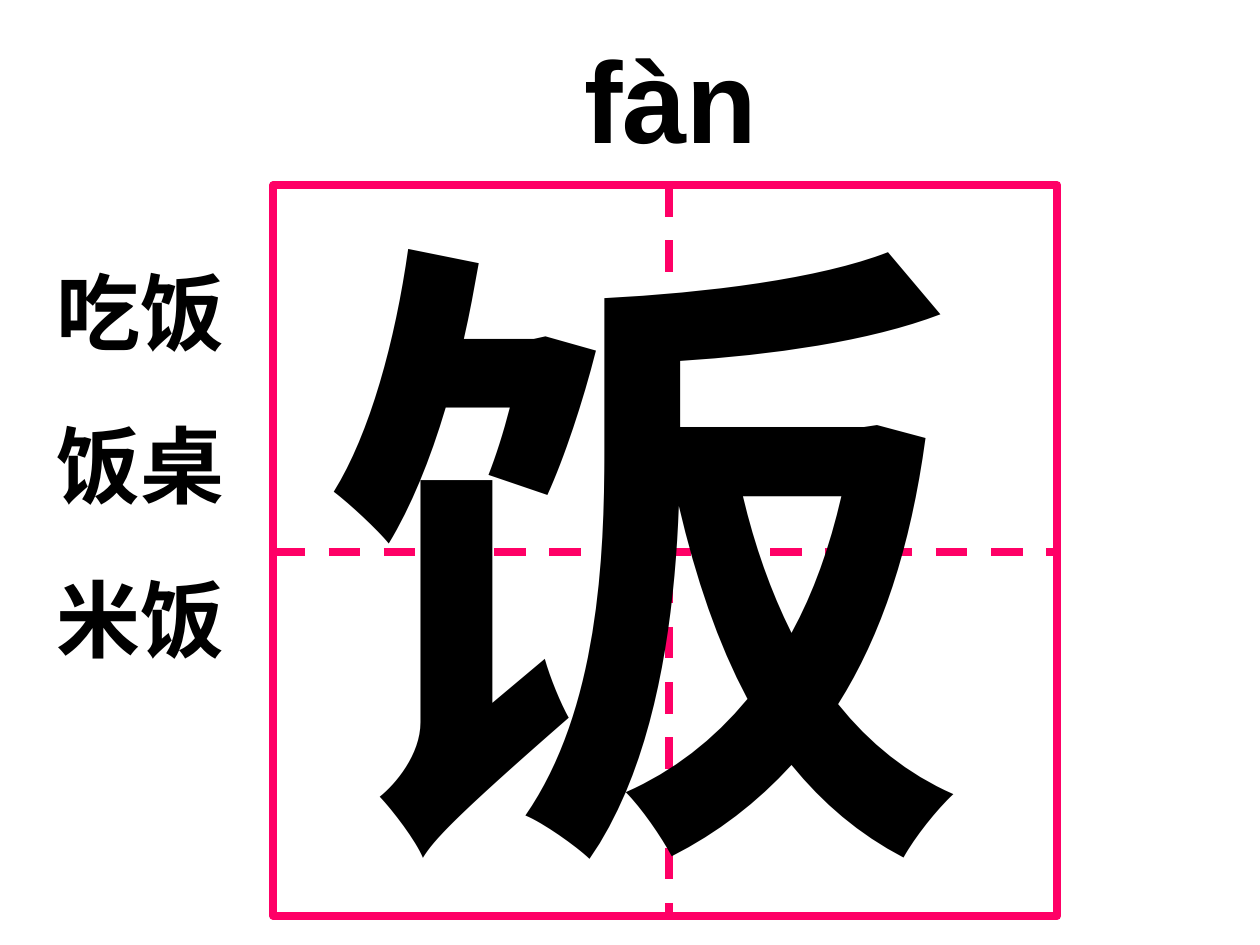
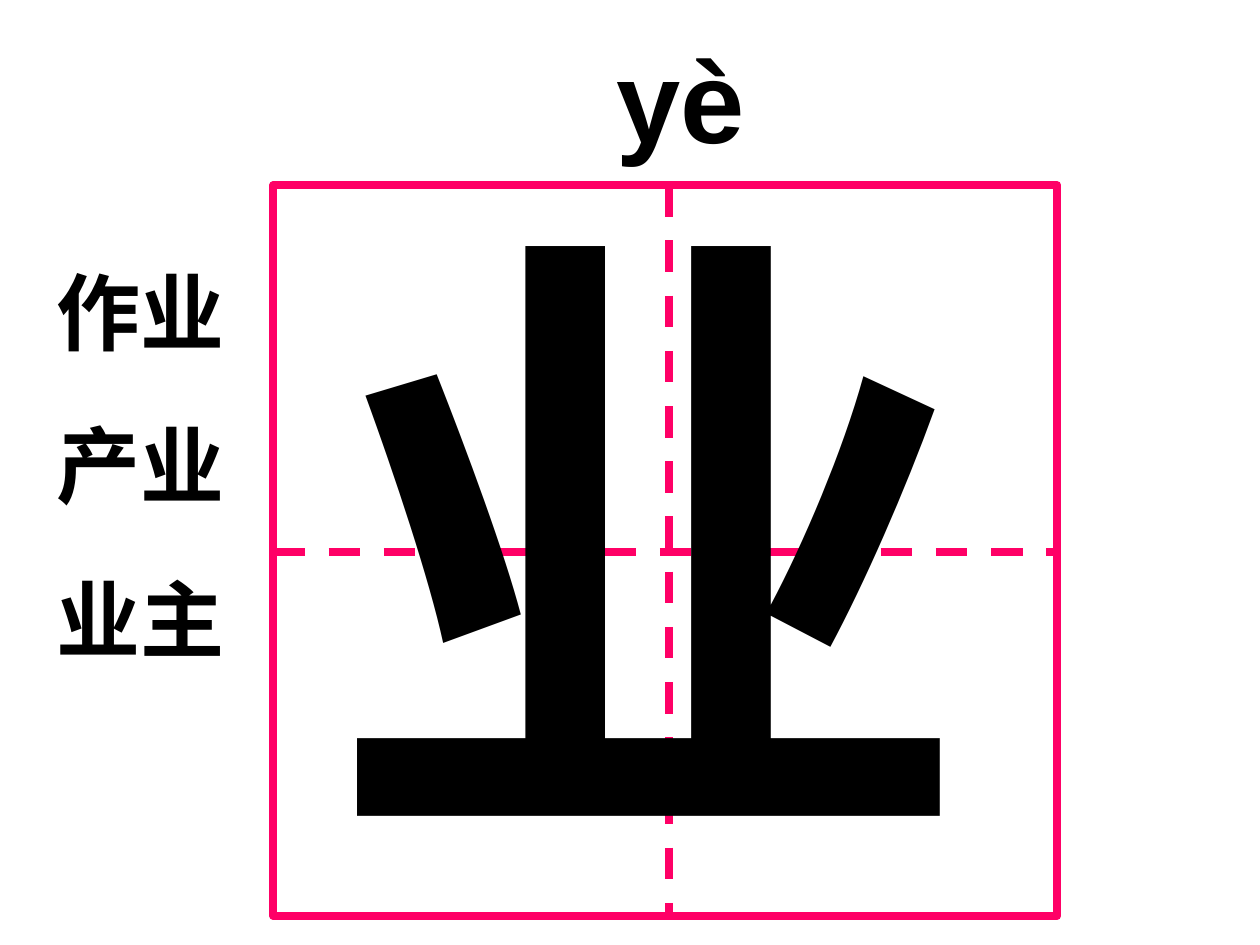
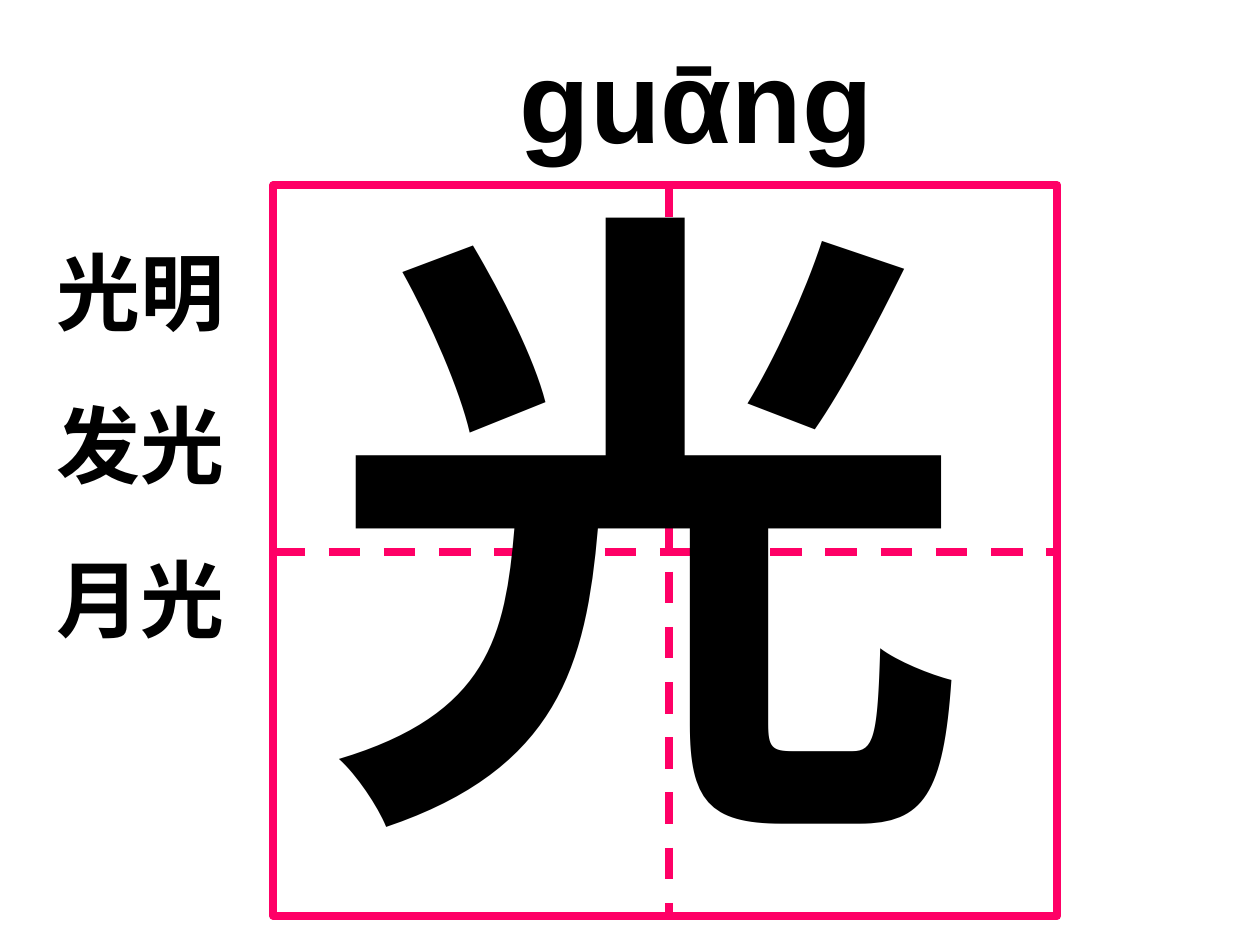
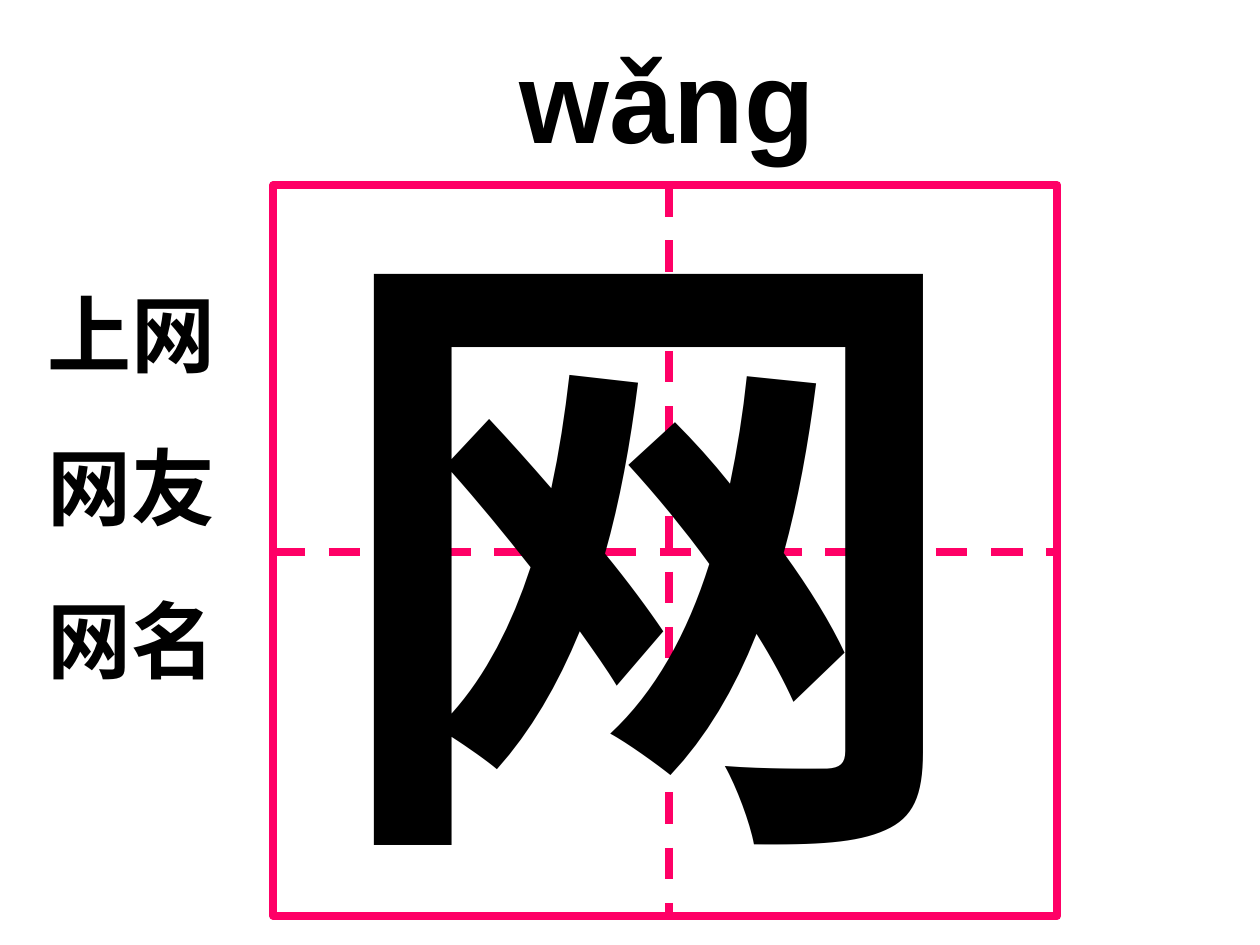
from pptx import Presentation
from pptx.util import Inches as In, Pt
from pptx.dml.color import RGBColor
from pptx.enum.dml import MSO_LINE as Dash
from pptx.enum.shapes import MSO_SHAPE as Shp, MSO_CONNECTOR as Con
from pptx.enum.text import MSO_ANCHOR as Anc, MSO_AUTO_SIZE as Auto, PP_ALIGN as Al
from pptx.oxml.ns import qn
from lxml.etree import SubElement as Sub

PINK, INK = "FF0066", "000000"
LATIN, HAN = "Arial", "Noto Sans CJK SC"

# Writing square: edges and the two middle lines
LEFT, TOP, WIDE, HIGH = 2.17, 1.47, 6.22, 5.8
MID_X, MID_Y = 5.31, 4.38
SPACE = 0.255  # one title indent step

# Sound, indent steps, sign, top of sign, words, place of words
CARDS = [
    ("fàn", 7, "饭", 1.15, ["吃饭", "饭桌", "米饭"], (0.35, 2.02)),
    ("yè", 8, "业", 1.07, ["作业", "产业", "业主"], (0.35, 2.02)),
    ("guᾱng", 5, "光", 0.91, ["光明", "发光", "月光"], (0.35, 1.86)),
    ("wǎng", 5, "网", 1.07, ["上网", "网友", "网名"], (0.28, 2.19)),
]


def rule(home, x1, y1, x2, y2, tint, wide, dash=None):
    line = home.add_connector(Con.STRAIGHT, In(x1), In(y1), In(x2), In(y2))
    line.line.color.rgb = RGBColor.from_string(tint)
    line.line.width = Pt(wide)
    line.line.dash_style = dash
    Sub(line._element.spPr, qn("a:effectLst"))


def write(box, place, texts, size, face, anchor, wrap=True):
    box.left, box.top, box.width, box.height = map(In, place)
    frame = box.text_frame
    look = {"word_wrap": wrap, "auto_size": Auto.NONE, "vertical_anchor": anchor,
            "margin_left": In(0.1), "margin_right": In(0.1),
            "margin_top": In(0.05), "margin_bottom": In(0.05)}
    for key, val in look.items():
        setattr(frame, key, val)
    for n, text in enumerate(texts):
        para = frame.add_paragraph() if n else frame.paragraphs[0]
        para.alignment = Al.LEFT
        run = para.add_run()
        run.text = text
        for key, val in {"size": Pt(size), "bold": True, "name": face}.items():
            setattr(run.font, key, val)
        run.font.color.rgb = RGBColor.from_string(INK)
        Sub(run._r.rPr, qn("a:ea"), typeface=HAN)
    return frame.paragraphs


prs = Presentation()
prs.slide_width, prs.slide_height = In(10), In(7.5)

for sound, steps, sign, top, words, spot in CARDS:
    slide = prs.slides.add_slide(prs.slide_layouts[5])
    shapes = slide.shapes

    # Small dot beside the square
    rule(shapes, 1.85, 4.46, 1.85, 4.46, INK, 0.75)

    # Square with dashed middle lines
    group = shapes.add_group_shape().shapes
    square = group.add_shape(Shp.RECTANGLE, In(LEFT), In(TOP), In(WIDE), In(HIGH))
    square.shadow.inherit = False
    square.fill.background()
    square.line.color.rgb = RGBColor.from_string(PINK)
    square.line.width = Pt(4.5)
    rule(group, LEFT, MID_Y, LEFT + WIDE, MID_Y, PINK, 4.5, Dash.DASH)
    rule(shapes, MID_X, TOP, MID_X, 7.29, PINK, 4.5, Dash.DASH)

    # Large sign
    write(shapes.add_textbox(0, 0, 0, 0), (2.48, top, 5.34, 6.27),
          [sign], 370, HAN, Anc.MIDDLE, False)

    # Sound as title, indented by steps
    head = write(shapes.title, (2.75, 0.17, 4.75, 1.2), [sound], 66, LATIN, Anc.BOTTOM)
    props = head[0]._p.get_or_add_pPr()
    props.set("marL", str(In(steps * SPACE)))
    props.set("indent", "0")

    # Word list
    rows = write(shapes.add_textbox(0, 0, 0, 0), (*spot, 1.67, 4.55),
                 words, 48, LATIN, Anc.TOP)
    for n, row in enumerate(rows):
        row.line_spacing = Pt(57.6)
        row.space_before = Pt(30 if n else 0)

prs.save("out.pptx")
